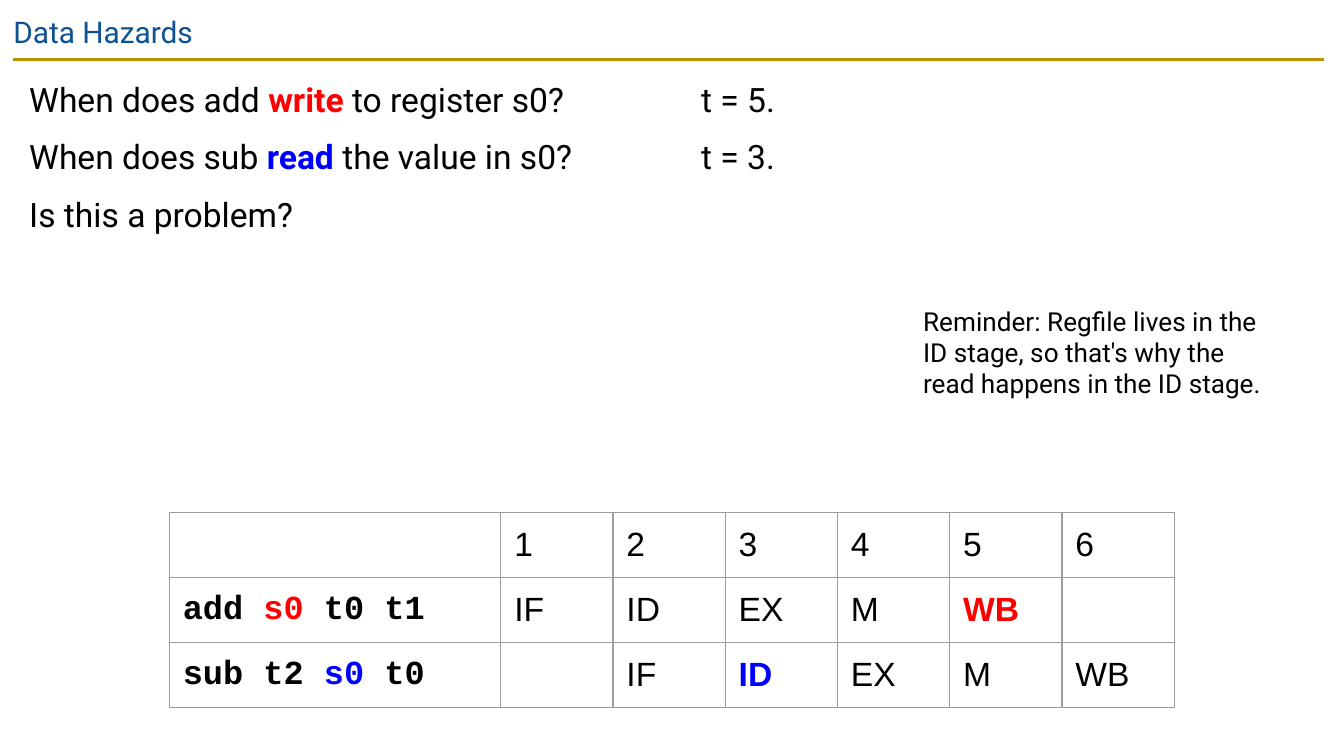
from lxml import etree
from pptx import Presentation
from pptx.dml.color import RGBColor
from pptx.enum.shapes import MSO_CONNECTOR
from pptx.enum.text import MSO_ANCHOR, MSO_AUTO_SIZE, PP_ALIGN
from pptx.oxml.ns import qn
from pptx.util import Pt

STRAIGHT = MSO_CONNECTOR.STRAIGHT
TOP = MSO_ANCHOR.TOP
NO_AUTOFIT = MSO_AUTO_SIZE.NONE
LEFT = PP_ALIGN.LEFT

COLORS = {
    "title": "0B5394",
    "rule": "BF9000",
    "text": "000000",
    "write": "FF0000",
    "read": "0000FF",
    "border": "9E9E9E",
    "cell": "FFFFFF",
}
BODY_FONT, TABLE_FONT, CODE_FONT = "Roboto", "Arial", "Courier New"
INSET = 7.2

# Each line is a list of (text, color name) runs; colored runs are emphasized.
QUESTIONS = [
    [("When does add ", "text"), ("write", "write"),
     (" to register s0?\tt = 5.", "text")],
    [("When does sub ", "text"), ("read", "read"),
     (" the value in s0?\tt = 3.", "text")],
    [("Is this a problem?", "text")],
]
REMINDER = ("Reminder: Regfile lives in the ID stage, so that's why the "
            "read happens in the ID stage.")
ADD_CODE = [("add ", "text"), ("s0", "write"), (" t0 t1", "text")]
SUB_CODE = [("sub t2 ", "text"), ("s0", "read"), (" t0", "text")]
PIPELINE = [
    ["", "1", "2", "3", "4", "5", "6"],
    [ADD_CODE, "IF", "ID", "EX", "M", [("WB", "write")], ""],
    [SUB_CODE, "", "IF", [("ID", "read")], "EX", "M", "WB"],
]


def rgb(name):
    return RGBColor.from_string(COLORS[name])


def write_text(paragraph, content, font=BODY_FONT, size=18, color="text",
               bold=False, spacing=None, before=None, tab=None):
    """Fill a paragraph with a string or with (text, color) runs."""
    paragraph.alignment = LEFT
    if spacing is not None:
        paragraph.line_spacing = spacing
    if before is not None:
        paragraph.space_before = Pt(before)
    if tab is not None:
        tabs = etree.SubElement(paragraph._p.get_or_add_pPr(), qn("a:tabLst"))
        etree.SubElement(tabs, qn("a:tab"), pos=str(Pt(tab)), algn="l")
    paragraph.font.size = Pt(size)
    paragraph.font.name = font
    runs = [(content, color)] if isinstance(content, str) else content
    for text, run_color in runs:
        if not text:
            continue
        run = paragraph.add_run()
        run.text = text
        run.font.name = font
        run.font.size = Pt(size)
        run.font.bold = bold or run_color in ("write", "read")
        run.font.color.rgb = rgb(run_color)


def prepare_frame(frame):
    frame.word_wrap = True
    frame.auto_size = NO_AUTOFIT
    frame.vertical_anchor = TOP
    frame.margin_left = frame.margin_right = Pt(INSET)
    frame.margin_top = frame.margin_bottom = Pt(INSET)
    return frame


def add_frame(slide, left, top, width, height):
    box = slide.shapes.add_textbox(Pt(left), Pt(top), Pt(width), Pt(height))
    return prepare_frame(box.text_frame)


def add_heading(slide, left, top, width, height):
    """Title with a gold rule beneath it."""
    title = slide.shapes.title
    title.left, title.top = Pt(left), Pt(top)
    title.width, title.height = Pt(width), Pt(height)
    frame = prepare_frame(title.text_frame)
    write_text(frame.paragraphs[0], "Data Hazards", size=16, color="title")

    rule_y = Pt(top + height + 0.7)
    rule = slide.shapes.add_connector(
        STRAIGHT, Pt(left + INSET), rule_y, Pt(left + width - 10.8), rule_y)
    rule.line.color.rgb = rgb("rule")
    rule.line.width = Pt(1.5)
    etree.SubElement(rule._element.spPr, qn("a:effectLst"))


def add_questions(slide, left, top, width, height):
    """Questions on the left, with answers at a tab stop."""
    frame = add_frame(slide, left, top, width, height)
    for index, line in enumerate(QUESTIONS):
        paragraph = frame.add_paragraph() if index else frame.paragraphs[0]
        write_text(paragraph, line, spacing=1.15,
                   before=6 if index else 0, tab=360)


def add_reminder(slide, left, top, width, height):
    frame = add_frame(slide, left, top, width, height)
    write_text(frame.paragraphs[0], REMINDER, size=14)


def format_cell(cell):
    """White cell with thin grey borders on all sides."""
    cell.margin_left = cell.margin_right = Pt(INSET)
    cell.margin_top = cell.margin_bottom = Pt(INSET)
    cell.vertical_anchor = TOP
    properties = cell._tc.get_or_add_tcPr()
    for side in ("a:lnL", "a:lnR", "a:lnT", "a:lnB"):
        border = etree.SubElement(properties, qn(side), w=str(Pt(0.75)))
        fill = etree.SubElement(border, qn("a:solidFill"))
        etree.SubElement(fill, qn("a:srgbClr"), val=COLORS["border"])
    cell.fill.solid()
    cell.fill.fore_color.rgb = rgb("cell")


def add_pipeline(slide, left, top, width, height):
    """Pipeline stages by clock cycle: one code column, then equal columns."""
    row_count, column_count = len(PIPELINE), len(PIPELINE[0])
    table = slide.shapes.add_table(row_count, column_count, Pt(left), Pt(top),
                                   Pt(width), Pt(height)).table
    table.first_row = table.horz_banding = False
    code_width = 177.6
    stage_width = (width - code_width) / (column_count - 1)
    for index, column in enumerate(table.columns):
        column.width = Pt(stage_width if index else code_width)
    for row, contents in zip(table.rows, PIPELINE):
        row.height = Pt(height / row_count)
        for index, (cell, content) in enumerate(zip(row.cells, contents)):
            format_cell(cell)
            is_code = index == 0 and content != ""
            write_text(cell.text_frame.paragraphs[0], content, bold=is_code,
                       font=CODE_FONT if is_code else TABLE_FONT)


def main():
    presentation = Presentation()
    presentation.slide_width, presentation.slide_height = Pt(720), Pt(405)
    title_only = presentation.slide_layouts[5]
    slide = presentation.slides.add_slide(title_only)

    add_heading(slide, 0, 0, 720, 31)
    add_questions(slide, 8.6, 31.7, 701, 107.3)
    add_pipeline(slide, 90.7, 274.7, 538.5, 104.4)
    add_reminder(slide, 487.4, 156.2, 206, 65.5)

    presentation.save("out.pptx")


if __name__ == "__main__":
    main()
